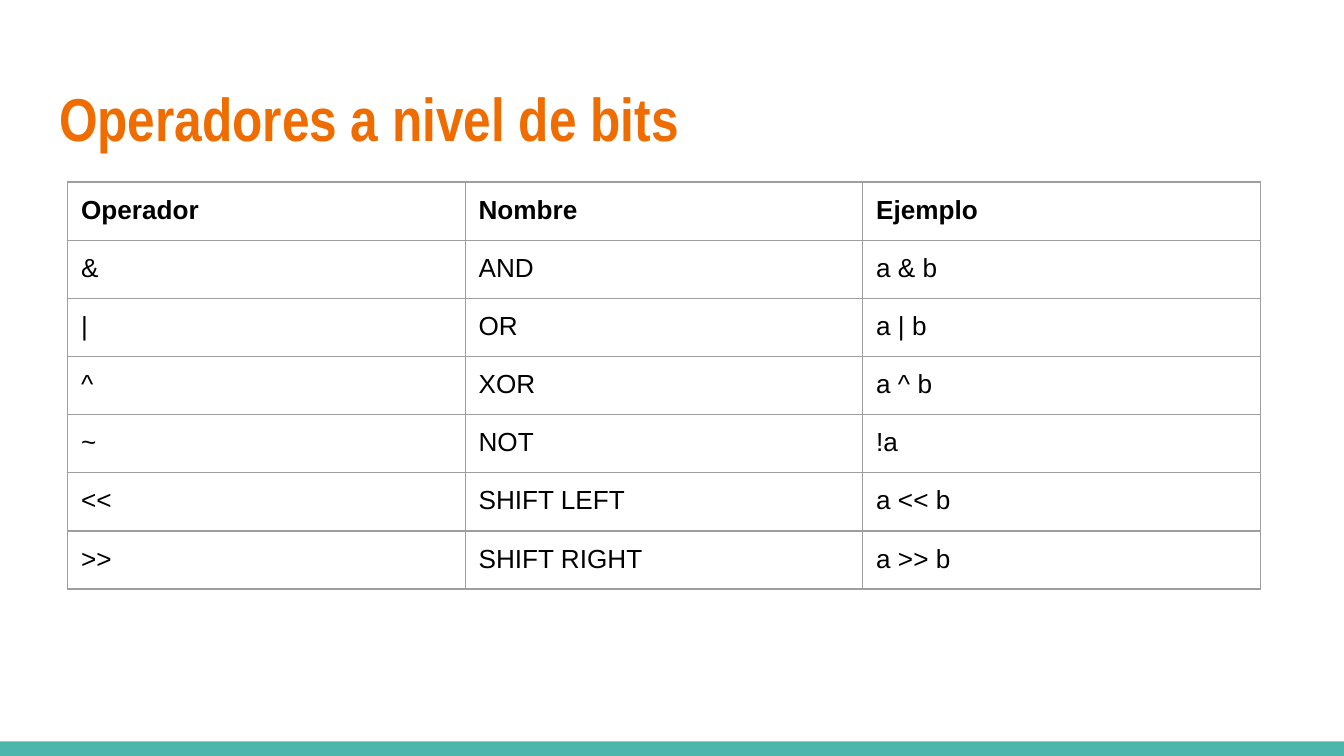
from dataclasses import dataclass

from lxml import etree
from pptx import Presentation
from pptx.dml.color import RGBColor
from pptx.enum import shapes, text
from pptx.oxml import ns
from pptx.util import Pt


@dataclass(frozen=True)
class Theme:
    title_color: RGBColor = RGBColor(0xEF, 0x6C, 0x00)
    text_color: RGBColor = RGBColor(0, 0, 0)
    bar_color: RGBColor = RGBColor(0x4D, 0xB6, 0xAC)
    background: RGBColor = RGBColor(0xFF, 0xFF, 0xFF)
    border_color: str = "9E9E9E"
    border_width: float = 0.75
    title_font: str = "Arial Narrow"
    body_font: str = "Arial"
    title_size: float = 32.4
    body_size: float = 14
    inset: float = 7.2


THEME = Theme()
WIDTH, HEIGHT = 720, 405

OPERATORS = [
    ("Operador", "Nombre", "Ejemplo"),
    ("&", "AND", "a & b"),
    ("|", "OR", "a | b"),
    ("^", "XOR", "a ^ b"),
    ("~", "NOT", "!a"),
    ("<<", "SHIFT LEFT", "a << b"),
    (">>", "SHIFT RIGHT", "a >> b"),
]


def add_run(p, content, font, size, color, bold):
    r = p.add_run()
    r.text = content
    r.font.name = font
    r.font.size = Pt(size)
    r.font.bold = bold
    r.font.color.rgb = color


def set_insets(frame):
    """Give a text frame or table cell the same inset on all sides."""
    frame.margin_left = frame.margin_right = Pt(THEME.inset)
    frame.margin_top = frame.margin_bottom = Pt(THEME.inset)


def set_borders(cell):
    tc_pr = cell._tc.get_or_add_tcPr()
    for side in ("lnL", "lnR", "lnT", "lnB"):
        ln = etree.SubElement(tc_pr, ns.qn(f"a:{side}"),
                              w=str(Pt(THEME.border_width)))
        fill = etree.SubElement(ln, ns.qn("a:solidFill"))
        etree.SubElement(fill, ns.qn("a:srgbClr"), val=THEME.border_color)


def add_bottom_bar(s, left, top, width, height):
    bar = s.shapes.add_shape(shapes.MSO_SHAPE.RECTANGLE,
                             Pt(left), Pt(top), Pt(width), Pt(height))
    bar.shadow.inherit = False
    bar.fill.solid()
    bar.fill.fore_color.rgb = THEME.bar_color
    bar.line.fill.background()


def place_title(s, content, left, top, width, height):
    sp = s.shapes.title
    sp.left, sp.top, sp.width, sp.height = map(Pt, (left, top, width, height))
    tf = sp.text_frame
    tf.word_wrap = True
    tf.auto_size = text.MSO_AUTO_SIZE.NONE
    tf.vertical_anchor = text.MSO_ANCHOR.MIDDLE
    set_insets(tf)
    p = tf.paragraphs[0]
    p.alignment = text.PP_ALIGN.LEFT
    add_run(p, content, THEME.title_font, THEME.title_size,
            THEME.title_color, True)


def add_operator_table(s, rows, left, top, width, height):
    table = s.shapes.add_table(len(rows), len(rows[0]), Pt(left), Pt(top),
                               Pt(width), Pt(height)).table
    table.horz_banding = False
    for column in table.columns:
        column.width = Pt(width / len(rows[0]))
    for i, row in enumerate(rows):
        table.rows[i].height = Pt(height / len(rows))
        for j, content in enumerate(row):
            cell = table.cell(i, j)
            set_insets(cell)
            cell.vertical_anchor = text.MSO_ANCHOR.TOP
            set_borders(cell)
            cell.fill.background()
            add_run(cell.text_frame.paragraphs[0], content, THEME.body_font,
                    THEME.body_size, THEME.text_color, i == 0)


def build_table_slide(prs):
    s = prs.slides.add_slide(prs.slide_layouts[5])  # title only
    s.background.fill.solid()
    s.background.fill.fore_color.rgb = THEME.background

    # Footer band
    add_bottom_bar(s, 0, HEIGHT - 7.8, WIDTH, 7.8)

    # Heading
    place_title(s, "Operadores a nivel de bits", 24.5, 35.3, 671, 55.4)

    # Bitwise operators
    add_operator_table(s, OPERATORS, 36.2, 97.5, 639, 218.2)


def main():
    prs = Presentation()
    prs.slide_width, prs.slide_height = Pt(WIDTH), Pt(HEIGHT)
    build_table_slide(prs)
    prs.save("out.pptx")


if __name__ == "__main__":
    main()
